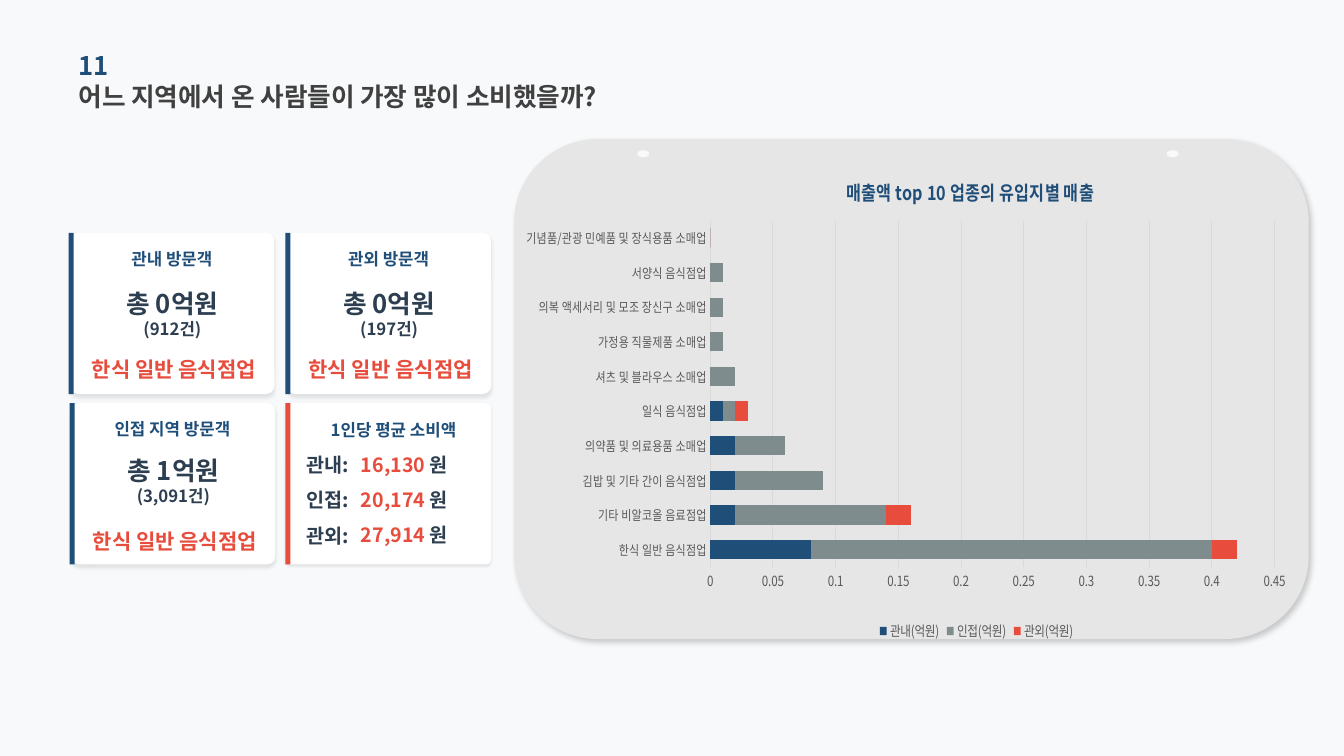
from dataclasses import dataclass

from lxml import etree
from pptx import Presentation
from pptx.chart.data import CategoryChartData
from pptx.dml.color import RGBColor
from pptx.enum.chart import XL_CHART_TYPE as ChartType, XL_LEGEND_POSITION as LegendPosition
from pptx.enum.chart import XL_TICK_MARK as TickMark
from pptx.enum.shapes import MSO_SHAPE as Shape
from pptx.enum.text import MSO_ANCHOR as Anchor, PP_ALIGN as Align
from pptx.oxml.ns import qn
from pptx.util import Pt

PX = 9144  # 100 px per inch


@dataclass(frozen=True)
class Theme:
    font: str = "Noto Sans CJK KR"
    page: str = "F8F9FA"
    panel: str = "E7E6E6"
    card: str = "FFFFFF"
    heading: str = "404040"
    navy: str = "1F4E79"
    ink: str = "2C3E50"
    red: str = "E74C3C"
    gray: str = "7F8C8D"
    axis_text: str = "595959"
    grid: str = "D9D9D9"
    shadow: str = "000000"
    heading_size: float = 18.25
    category_size: float = 15
    value_size: float = 14
    label_size: float = 12
    axis_size: float = 10
    names_size: float = 9.5


THEME = Theme()
PANEL_SHADOW = (20, 4, 3, 45)
CARD_SHADOW = (10, 3, 2, 90)
AVERAGE_SHADOW = (10, 2, 1, 90)

# bar left, top, title, title width, total, visits, offsets of total and top category
VISITORS = [
    (68, 231, "관내 방문객", 95, "총 0억원", "(912건)", 56, 112),
    (283, 231, "관외 방문객", 95, "총 0억원", "(197건)", 56, 112),
    (69, 400, "인접 지역 방문객", 122, "총 1억원", "(3,091건)", 53, 113),
]
TOP_CATEGORY = "한식 일반 음식점업"
AVERAGES = [("관내:", "16,130 "), ("인접:", "20,174 "), ("관외:", "27,914 ")]

BUSINESSES = [
    "한식 일반 음식점업", "기타 비알코올 음료점업", "김밥 및 기타 간이 음식점업",
    "의약품 및 의료용품 소매업", "일식 음식점업", "셔츠 및 블라우스 소매업",
    "가정용 직물제품 소매업", "의복 액세서리 및 모조 장신구 소매업",
    "서양식 음식점업", "기념품/관광 민예품 및 장식용품 소매업",
]
SALES = [
    ("관내(억원)", THEME.navy, (0.08, 0.02, 0.02, 0.02, 0.01, 0, 0, 0, 0, 0)),
    ("인접(억원)", THEME.gray, (0.32, 0.12, 0.07, 0.04, 0.01, 0.02, 0.01, 0.01, 0.01, 0)),
    ("관외(억원)", THEME.red, (0.02, 0.02, 0, 0, 0.01, 0, 0, 0, 0, 0)),
]


def apply(target, **values):
    for name, value in values.items():
        setattr(target, name, value)


def place(parent, index, **fractions):
    """Give a chart part a manual layout in fractions of the chart."""
    for old in parent.findall(qn("c:layout")):
        parent.remove(old)
    layout = etree.Element(qn("c:layout"))
    manual = etree.SubElement(layout, qn("c:manualLayout"))
    if "w" in fractions:
        etree.SubElement(manual, qn("c:layoutTarget")).set("val", "inner")
    for side in "xy":
        etree.SubElement(manual, qn(f"c:{side}Mode")).set("val", "edge")
    for side, fraction in fractions.items():
        etree.SubElement(manual, qn(f"c:{side}")).set("val", str(fraction))
    parent.insert(index, layout)


class SlideBuilder:
    def __init__(self, slide, theme):
        self.slide, self.theme = slide, theme
        slide.background.fill.solid()
        slide.background.fill.fore_color.rgb = RGBColor.from_string(theme.page)

    def style(self, font, size, color, bold=False):
        apply(font, name=self.theme.font, size=Pt(size), bold=bold)
        font.color.rgb = RGBColor.from_string(color)
        latin = font._rPr.find(qn("a:latin"))
        east_asian = etree.Element(qn("a:ea"), typeface=self.theme.font)
        latin.addnext(east_asian)

    def shape(self, kind, box, color, shadow=None, corner=None):
        shape = self.slide.shapes.add_shape(kind, *(side * PX for side in box))
        shape.fill.solid()
        shape.fill.fore_color.rgb = RGBColor.from_string(color)
        shape.line.fill.background()
        shape.shadow.inherit = False
        if corner is not None:
            shape.adjustments[0] = corner
        if shadow:
            self.drop_shadow(shape, *shadow)

    def drop_shadow(self, shape, opacity, blur, distance, angle):
        effects = shape._element.spPr.find(qn("a:effectLst"))
        outer = etree.SubElement(
            effects, qn("a:outerShdw"), blurRad=str(Pt(blur)), dist=str(Pt(distance)),
            dir=str(angle * 60000), algn="ctr", rotWithShape="0")
        color = etree.SubElement(outer, qn("a:srgbClr"), val=self.theme.shadow)
        etree.SubElement(color, qn("a:alpha"), val=str(opacity * 1000))

    def text(self, box, *runs, align=Align.LEFT, stacked=False):
        """Write (text, size, colour) runs, each on its own line if stacked."""
        frame = self.slide.shapes.add_textbox(*(side * PX for side in box)).text_frame
        apply(frame, word_wrap=True, vertical_anchor=Anchor.MIDDLE, margin_left=0,
              margin_top=0, margin_right=0, margin_bottom=0)
        paragraph = frame.paragraphs[0]
        paragraph.alignment = align
        for order, (words, size, color) in enumerate(runs):
            if stacked and order:
                paragraph.add_line_break()
            run = paragraph.add_run()
            run.text = words
            self.style(run.font, size, color, bold=True)

    def visitor_card(self, left, top, title, title_width, total, visits,
                     total_offset, category_offset):
        t = self.theme
        card = left + 2
        self.shape(Shape.ROUNDED_RECTANGLE, (card, top, 202, 160), t.card, CARD_SHADOW, 0.05)
        self.text((card + 100 - title_width // 2, top + 10, title_width, 31),
                  (title, t.label_size, t.navy), align=Align.CENTER)
        self.text((card + 1, top + total_offset, 200, 47), (total, t.heading_size, t.ink),
                  (visits, t.label_size, t.ink), align=Align.CENTER, stacked=True)
        self.shape(Shape.RECTANGLE, (left, top, 5, 160), t.navy)
        self.text((card + 3, top + category_offset, 199, 47),
                  (TOP_CATEGORY, t.category_size, t.red), align=Align.CENTER)

    def average_card(self, left, top):
        t = self.theme
        self.shape(Shape.ROUNDED_RECTANGLE, (left, top, 204, 160), t.card, AVERAGE_SHADOW, 0.03)
        self.text((left + 45, top + 14, 140, 25), ("1인당 평균 소비액", t.label_size, t.navy))
        for row, (origin, amount) in enumerate(AVERAGES):
            row_top = top + 46 + 35 * row
            self.text((left + 21, row_top, 59, 30), (origin, t.value_size, t.ink))
            self.text((left + 75, row_top, 445, 29),
                      (amount, t.value_size, t.red), ("원", t.value_size, t.ink))
        self.shape(Shape.RECTANGLE, (left, top, 5, 160), t.red)

    def sales_chart(self, box):
        t = self.theme
        data = CategoryChartData()
        data.categories = BUSINESSES
        for origin, _, values in SALES:
            data.add_series(origin, values)
        chart = self.slide.shapes.add_chart(
            ChartType.BAR_STACKED, *(side * PX for side in box), data).chart
        self.style(chart.font, t.axis_size, t.axis_text)

        title = chart.chart_title
        run = title.text_frame.paragraphs[0].add_run()
        run.text = "매출액 top 10 업종의 유입지별 매출"
        self.style(run.font, t.value_size, t.navy, bold=True)
        place(title._element, 1, x=0.29, y=0.03)
        place(chart._chartSpace.chart.plotArea, 0, x=0.08, y=0.13, w=0.89, h=0.71)

        plot = chart.plots[0]
        apply(plot, gap_width=80, overlap=100, vary_by_categories=False)
        for series, (_, color, _) in zip(plot.series, SALES):
            series.format.fill.solid()
            series.format.fill.fore_color.rgb = RGBColor.from_string(color)

        names, amounts = chart.category_axis, chart.value_axis
        for axis, size in ((names, t.names_size), (amounts, t.axis_size)):
            apply(axis, major_tick_mark=TickMark.NONE, minor_tick_mark=TickMark.NONE)
            self.style(axis.tick_labels.font, size, t.axis_text)
        apply(amounts, minimum_scale=0, maximum_scale=0.45, major_unit=0.05,
              has_major_gridlines=True)
        amounts.format.line.fill.background()
        for line in (names.format.line, amounts.major_gridlines.format.line):
            line.width = Pt(0.75)
            line.color.rgb = RGBColor.from_string(t.grid)

        chart.has_legend = True
        apply(chart.legend, position=LegendPosition.BOTTOM, include_in_layout=False)
        self.style(chart.legend.font, t.axis_size, t.axis_text)


def main():
    deck = Presentation()
    apply(deck, slide_width=1333 * PX, slide_height=750 * PX)
    page = SlideBuilder(deck.slides.add_slide(deck.slide_layouts[6]), THEME)
    page.shape(Shape.ROUNDED_RECTANGLE, (510, 138, 788, 496), THEME.panel, PANEL_SHADOW)
    page.text((78, 75, 535, 41), ("어느 지역에서 온 사람들이 가장 많이 소비했을까?",
                                  THEME.heading_size, THEME.heading))
    page.text((78, 44, 452, 41), ("11", THEME.heading_size, THEME.navy))
    for hole_left in (632, 1157):
        page.shape(Shape.OVAL, (hole_left, 149, 12, 7), THEME.page)
    page.average_card(283, 400)
    for visitor in VISITORS:
        page.visitor_card(*visitor)
    page.sales_chart((522, 156, 761, 484))
    deck.save("out.pptx")


if __name__ == "__main__":
    main()
